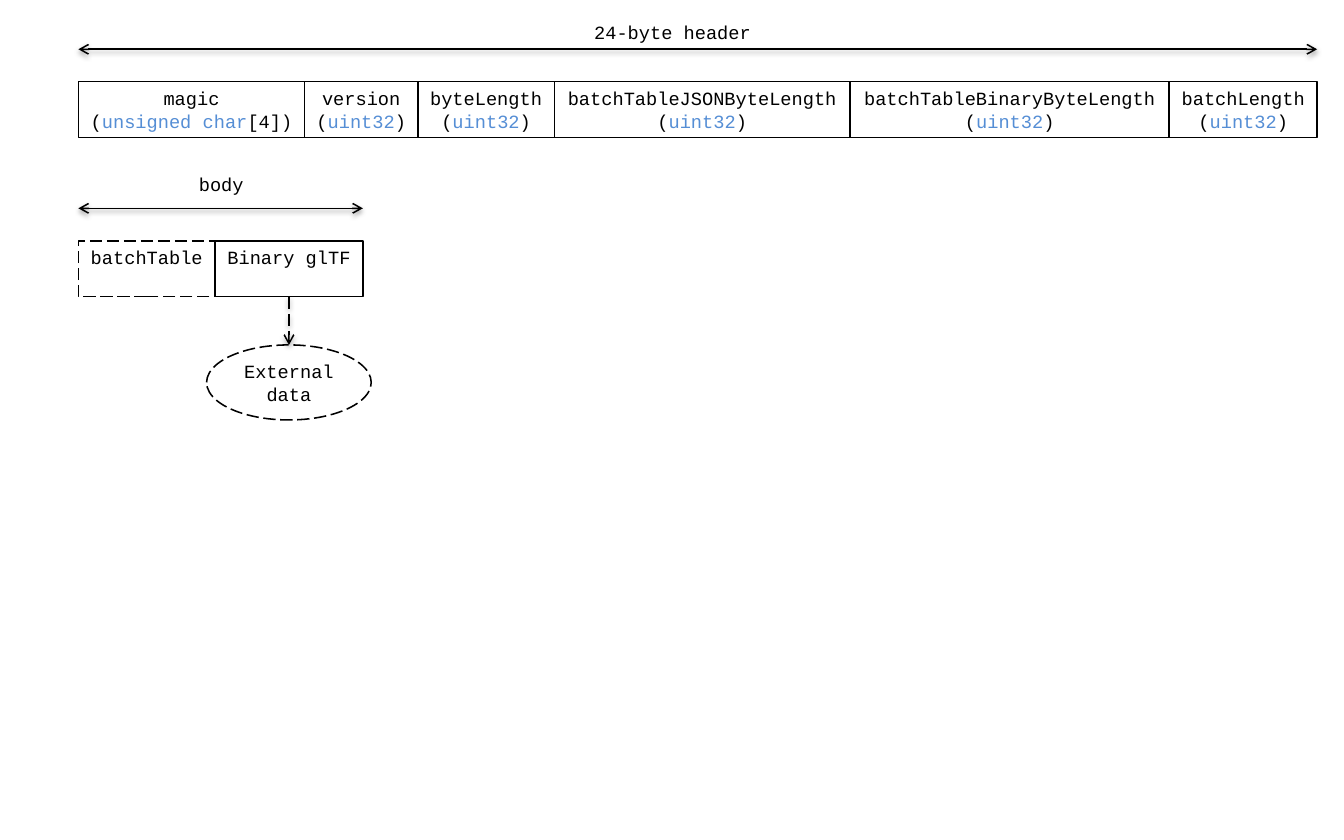
"""Build the byte-layout slide: 24-byte header, body and external data."""
from dataclasses import dataclass

from lxml.etree import SubElement
from pptx import Presentation
from pptx.dml.color import RGBColor
from pptx.enum.dml import MSO_LINE
from pptx.enum.shapes import MSO_CONNECTOR, MSO_SHAPE
from pptx.enum.text import MSO_ANCHOR, PP_ALIGN
from pptx.oxml import parse_xml
from pptx.oxml.ns import nsdecls, qn
from pptx.util import Inches, Pt


@dataclass(frozen=True)
class Theme:
    ink: RGBColor = RGBColor(0x00, 0x00, 0x00)
    type_name: RGBColor = RGBColor(0x55, 0x8E, 0xD5)
    paper: RGBColor = RGBColor(0xFF, 0xFF, 0xFF)
    font: str = "Courier New"
    size: Pt = Pt(12)
    line: Pt = Pt(1)


THEME = Theme()
SHADOW = (
    f'<a:effectLst {nsdecls("a")}><a:outerShdw blurRad="40000" dist="20000" dir="5400000" '
    'rotWithShape="0"><a:srgbClr val="000000"><a:alpha val="38000"/></a:srgbClr>'
    '</a:outerShdw></a:effectLst>'
)


def write(shape, rows, wrap=False, anchor=MSO_ANCHOR.TOP):
    frame = shape.text_frame
    frame.word_wrap = wrap
    frame.vertical_anchor = anchor
    for index, row in enumerate(rows):
        paragraph = frame.add_paragraph() if index else frame.paragraphs[0]
        paragraph.alignment = PP_ALIGN.CENTER
        for text, color in row:
            run = paragraph.add_run()
            run.text = text
            run.font.name = THEME.font
            run.font.size = THEME.size
            run.font.color.rgb = color


def outline(shape, dashed=False):
    shape.line.color.rgb = THEME.ink
    shape.line.width = THEME.line
    if dashed:
        shape.line.dash_style = MSO_LINE.LONG_DASH


presentation = Presentation()
presentation.slide_width = Inches(12)
presentation.slide_height = Inches(7.5)
slide = presentation.slides.add_slide(presentation.slide_layouts[6])
shapes = slide.shapes

left_edge, field_height = 0.7, 0.5
header_fields = [
    ("magic", "unsigned char", "[4]", 2.02),
    ("version", "uint32", "", 1.01),
    ("byteLength", "uint32", "", 1.22),
    ("batchTableJSONByteLength", "uint32", "", 2.64),
    ("batchTableBinaryByteLength", "uint32", "", 2.85),
    ("batchLength", "uint32", "", 1.32),
]
body_parts = [("batchTable", 1.22, True), ("Binary glTF", 1.32, False)]

x = left_edge
for name, type_name, count, width in header_fields:
    field = shapes.add_shape(
        MSO_SHAPE.RECTANGLE, Inches(x), Inches(0.73), Inches(width), Inches(field_height))
    field.shadow.inherit = False
    field.fill.background()
    outline(field)
    write(field, [
        [(name, THEME.ink)],
        [("(", THEME.ink), (type_name, THEME.type_name), (f"{count})", THEME.ink)],
    ])
    x += width
header_end = x

x = left_edge
for name, width, optional in body_parts:
    body_part = shapes.add_shape(
        MSO_SHAPE.RECTANGLE, Inches(x), Inches(2.15), Inches(width), Inches(field_height))
    body_part.shadow.inherit = False
    body_part.fill.background()
    outline(body_part, optional)
    write(body_part, [[(name, THEME.ink)]])
    x += width
body_end = x
binary_gltf = body_part

external_width = Inches(1.47)
external_data = shapes.add_shape(
    MSO_SHAPE.OVAL, binary_gltf.left + (binary_gltf.width - external_width) // 2,
    Inches(3.08), external_width, Inches(0.67))
external_data.shadow.inherit = False
external_data.fill.solid()
external_data.fill.fore_color.rgb = THEME.paper
outline(external_data, dashed=True)
write(external_data, [[("External data", THEME.ink)]], wrap=True, anchor=MSO_ANCHOR.MIDDLE)

arrows = []
for caption, caption_left, caption_top, caption_width, span_end, span_y in [
    ("24-byte header", 5.19, 0.14, 1.63, header_end, 0.44),
    ("body", 1.67, 1.49, 0.61, body_end, 1.86),
]:
    label = shapes.add_textbox(
        Inches(caption_left), Inches(caption_top), Inches(caption_width), Inches(0.3))
    write(label, [[(caption, THEME.ink)]])
    span = shapes.add_connector(
        MSO_CONNECTOR.STRAIGHT, Inches(left_edge), Inches(span_y), Inches(span_end), Inches(span_y))
    arrows.append((span, ("headEnd", "tailEnd"), False))

reference = shapes.add_connector(MSO_CONNECTOR.STRAIGHT, 0, 0, 0, 0)
reference.begin_connect(binary_gltf, 2)
reference.end_connect(external_data, 0)
arrows.append((reference, ("tailEnd",), True))

for arrow, ends, dashed in arrows:
    outline(arrow, dashed)
    for end in ends:
        SubElement(arrow.line._get_or_add_ln(), qn(f"a:{end}"), type="arrow")
    arrow._element.spPr.append(parse_xml(SHADOW))

presentation.save("out.pptx")
